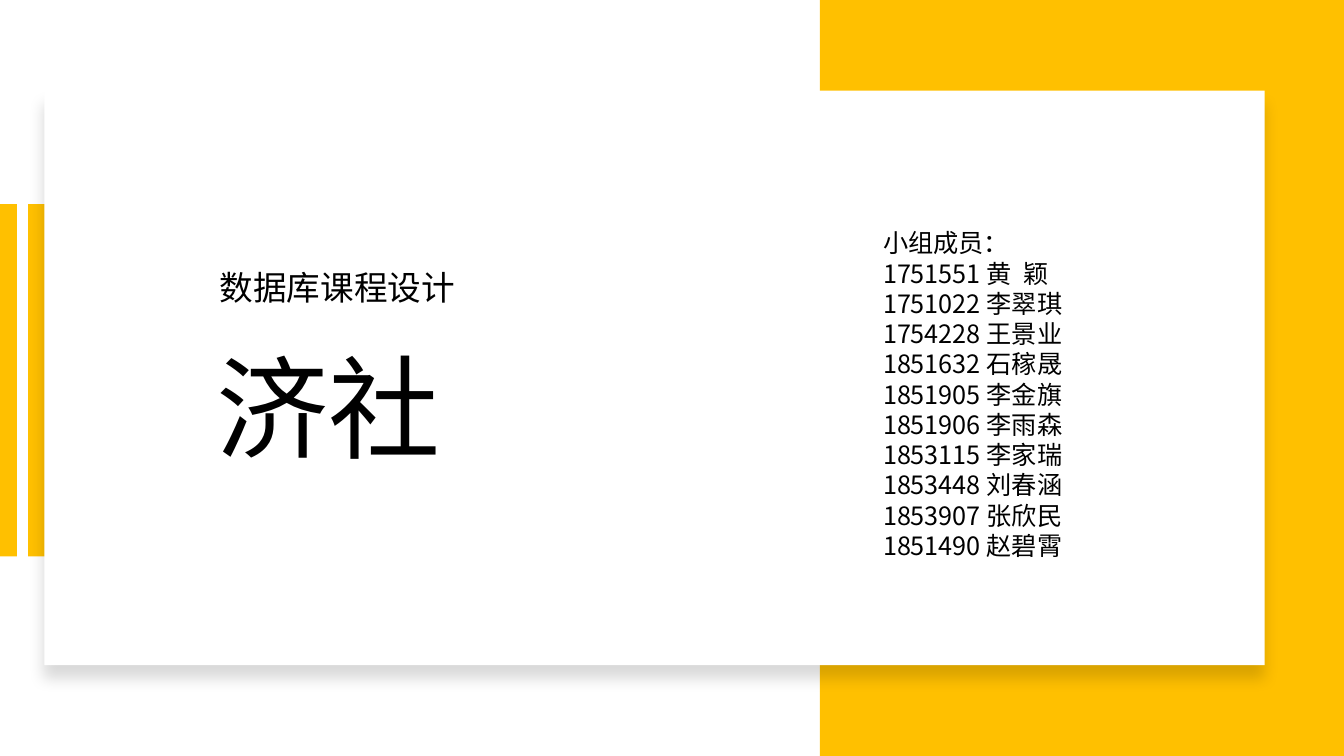
from lxml.etree import SubElement
from pptx import Presentation
from pptx.dml.color import RGBColor
from pptx.enum.shapes import MSO_SHAPE as SHAPE
from pptx.enum.text import MSO_ANCHOR as ANCHOR, PP_ALIGN as ALIGN
from pptx.oxml.ns import qn
from pptx.util import Inches, Pt

AMBER = RGBColor(0xFF, 0xC0, 0x00)
WHITE = RGBColor(0xFF, 0xFF, 0xFF)
BLACK = RGBColor(0x00, 0x00, 0x00)
FONT = "Noto Sans CJK SC"
WIDTH, HEIGHT = Inches(13.33), Inches(7.5)

prs = Presentation()
prs.slide_width, prs.slide_height = WIDTH, HEIGHT
slide = prs.slides.add_slide(prs.slide_layouts[5])
shapes = slide.shapes


def block(left, top, width, height, color):
    """Add a plain rectangle, given in shares of the slide's size."""
    rect = shapes.add_shape(SHAPE.RECTANGLE, int(left * WIDTH), int(top * HEIGHT),
                            int(width * WIDTH), int(height * HEIGHT))
    rect.shadow.inherit = False
    rect.fill.solid()
    rect.fill.fore_color.rgb = color
    rect.line.fill.background()
    return rect


def write(holder, text, box, size, line_height, anchor=ANCHOR.TOP):
    """Fill a text holder, one paragraph a line; box is in inches."""
    holder.left, holder.top, holder.width, holder.height = map(Inches, box)
    frame = holder.text_frame
    frame.word_wrap = True
    frame.vertical_anchor = anchor
    frame.text = text
    for paragraph in frame.paragraphs:
        paragraph.alignment = ALIGN.LEFT
        paragraph.line_spacing = Pt(line_height)
        for run in paragraph.runs:
            run.font.size = Pt(size)
            run.font.name = FONT
            run.font.color.rgb = BLACK
            SubElement(run.font._element, qn("a:ea"), typeface=FONT)


# Amber panel on the right and two bars on the left edge
block(0.61, 0, 0.39, 1, AMBER)
for bar_left in (0, 0.021):
    block(bar_left, 0.27, 0.0127, 0.466, AMBER)

# White card with a soft shadow below
card = block(0.033, 0.12, 0.908, 0.76, WHITE)
effects = card._element.spPr.find(qn("a:effectLst"))
shadow = SubElement(effects, qn("a:outerShdw"), blurRad=str(Pt(11)), dist=str(Pt(10)),
                    dir="5400000", algn="t", rotWithShape="0")
shadow_color = SubElement(shadow, qn("a:srgbClr"), val=str(BLACK))
SubElement(shadow_color, qn("a:alpha"), val="15000")

# Title lies in front of the card
title = shapes.title
shapes._spTree.append(title._element)
write(title, "济社", (2.05, 3.36, 2.71, 2.83), 80, 92)

course = shapes.add_textbox(0, 0, 0, 0)
write(course, "数据库课程设计", (2.08, 2.42, 2.71, 0.68), 24, 26, ANCHOR.BOTTOM)

members = [
    "1751551 黄  颖",
    "1751022 李翠琪",
    "1754228 王景业",
    "1851632 石稼晟",
    "1851905 李金旗",
    "1851906 李雨森",
    "1853115 李家瑞",
    "1853448 刘春涵",
    "1853907 张欣民",
    "1851490 赵碧霄",
]
team = shapes.add_textbox(0, 0, 0, 0)
write(team, "\n".join(["小组成员："] + members), (8.66, 2.21, 2.11, 3.43), 18, 21.6)

prs.save("out.pptx")
